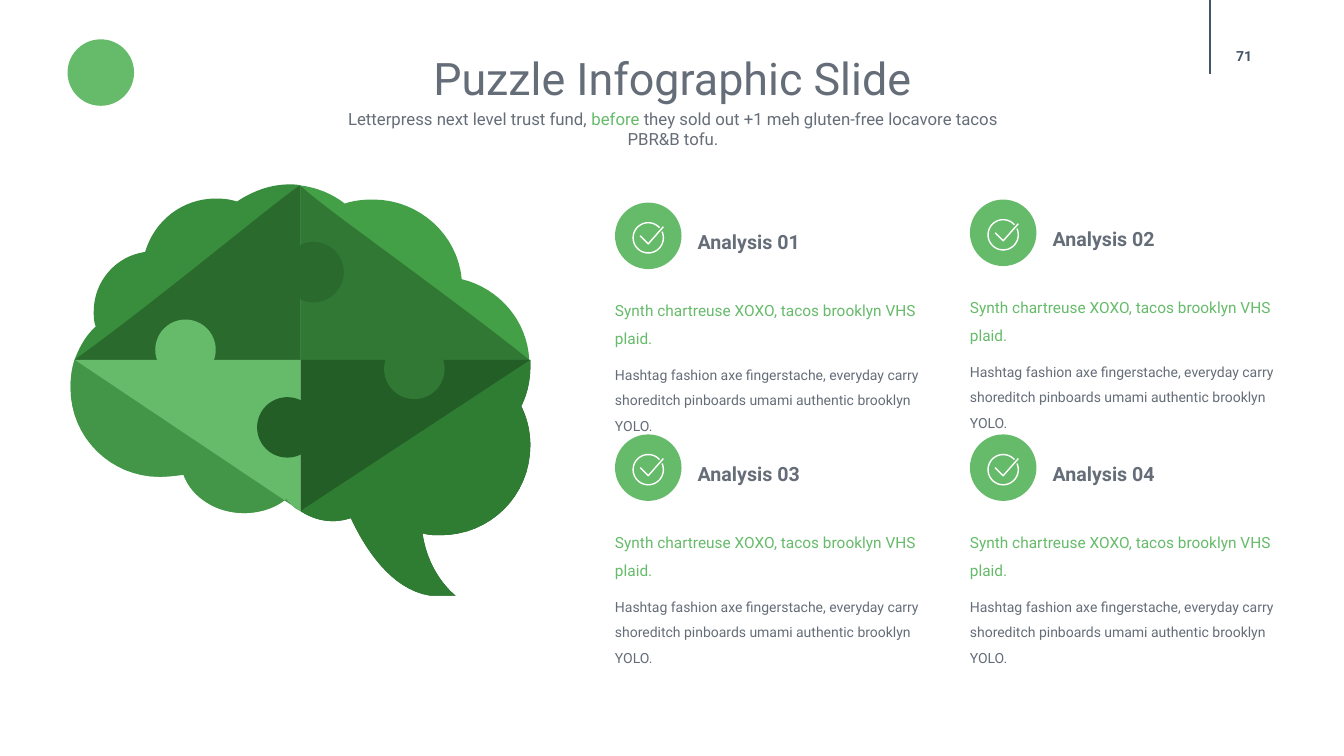
from math import cos, radians, sin

from lxml.etree import SubElement
from pptx import Presentation
from pptx.dml.color import RGBColor
from pptx.enum.shapes import MSO_CONNECTOR, MSO_SHAPE
from pptx.enum.text import MSO_ANCHOR, MSO_AUTO_SIZE, PP_ALIGN
from pptx.oxml.ns import qn
from pptx.util import Inches, Pt

FONT = "Roboto"
COLORS = {
    "leaf": "66BB6A",
    "slate": "656D78",
    "navy": "44546A",
    "white": "FFFFFF",
    "upper_right_rim": "43A047",
    "upper_right": "327835",
    "upper_left_rim": "388E3C",
    "upper_left": "2A6A2D",
    "lower_right_rim": "2E7D32",
    "lower_right": "225E26",
    "lower_left_rim": "439647",
}
CENTRE = (2.98, 3.57)
CURVE_STEPS = 16

UPPER_RIGHT_RIM = [
    (5.25, 3.57),
    (5.23, 3.18, 4.95, 2.86, 4.58, 2.77),
    (4.54, 2.33, 4.16, 1.98, 3.7, 1.98),
    (3.6, 1.98, 3.51, 1.99, 3.42, 2.02),
    (3.29, 1.92, 3.14, 1.86, 2.98, 1.84),
]
UPPER_RIGHT_EDGE = [(5.25, 3.57), (4.4, 2.89, 3.11, 1.99, 2.98, 1.84)]
UPPER_LEFT_RIM = [
    (2.98, 1.84),
    (2.94, 1.83, 2.91, 1.83, 2.87, 1.83),
    (2.68, 1.83, 2.5, 1.9, 2.35, 2),
    (2.29, 1.98, 2.22, 1.97, 2.14, 1.97),
    (1.81, 1.97, 1.53, 2.19, 1.44, 2.5),
    (1.15, 2.54, 0.93, 2.79, 0.93, 3.09),
    (0.93, 3.14, 0.93, 3.19, 0.95, 3.24),
    (0.85, 3.33, 0.79, 3.44, 0.74, 3.57),
]
UPPER_LEFT_EDGE = [(2.98, 1.84), (2.94, 1.83, 1.54, 3, 0.74, 3.57)]
LOWER_RIGHT_RIM = [
    (2.98, 5.07),
    (3.07, 5.13, 3.18, 5.17, 3.3, 5.17),
    (3.36, 5.17, 3.42, 5.16, 3.48, 5.14),
    (3.61, 5.42, 3.87, 5.85, 4.27, 5.91),
    (4.52, 5.91),
    (4.52, 5.91, 4.25, 5.71, 4.19, 5.29),
    (4.25, 5.31, 4.31, 5.31, 4.37, 5.31),
    (4.86, 5.31, 5.26, 4.92, 5.26, 4.42),
    (5.26, 4.28, 5.23, 4.15, 5.17, 4.03),
    (5.23, 3.91, 5.26, 3.78, 5.26, 3.63),
    (5.26, 3.61, 5.26, 3.59, 5.26, 3.57),
]
LOWER_LEFT_RIM = [
    (0.74, 3.57),
    (0.71, 3.66, 0.7, 3.75, 0.7, 3.85),
    (0.7, 4.34, 1.1, 4.73, 1.58, 4.73),
    (1.66, 4.73, 1.74, 4.72, 1.82, 4.71),
    (1.9, 4.93, 2.14, 5.09, 2.42, 5.09),
    (2.58, 5.09, 2.73, 5.04, 2.84, 4.95),
    (2.88, 5, 2.92, 5.04, 2.98, 5.07),
]
BRAIN_LAYERS = [
    (UPPER_RIGHT_RIM + [CENTRE], "upper_right_rim"),
    (UPPER_RIGHT_EDGE + [CENTRE], "upper_right"),
    (UPPER_LEFT_RIM + [CENTRE], "upper_left_rim"),
    (UPPER_LEFT_EDGE + [CENTRE], "upper_left"),
    (LOWER_RIGHT_RIM + [CENTRE], "lower_right"),
    (LOWER_RIGHT_RIM, "lower_right_rim"),
    (LOWER_LEFT_RIM + [CENTRE], "leaf"),
    (LOWER_LEFT_RIM, "lower_left_rim"),
]
KNOBS = [
    (3.81, 3.36, "upper_right"),
    (2.81, 2.4, "upper_left"),
    (1.54, 3.17, "leaf"),
    (2.55, 3.94, "lower_right"),
]
CARDS = [
    (6.1, 2.01, "Analysis 01"),
    (9.62, 1.98, "Analysis 02"),
    (6.1, 4.31, "Analysis 03"),
    (9.62, 4.31, "Analysis 04"),
]
CARD_LEAD = "Synth chartreuse XOXO, tacos brooklyn VHS plaid."
CARD_DETAIL = ("Hashtag fashion axe fingerstache, everyday carry "
               "shoreditch pinboards umami authentic brooklyn YOLO.")


def rgb(name):
    return RGBColor.from_string(COLORS[name])


def write(paragraph, text, size=12, color="slate", bold=False,
          align=PP_ALIGN.LEFT, line_spacing=None, space_before=0):
    paragraph.alignment = align
    paragraph.space_before = Pt(space_before)
    if line_spacing:
        paragraph.line_spacing = line_spacing
    run = paragraph.add_run()
    run.text = text
    run.font.name = FONT
    run.font.size = Pt(size)
    run.font.bold = bold
    run.font.color.rgb = rgb(color)


def prepare_frame(shape, anchor=MSO_ANCHOR.TOP, inset=True):
    frame = shape.text_frame
    frame.word_wrap = True
    frame.auto_size = MSO_AUTO_SIZE.NONE
    frame.vertical_anchor = anchor
    frame.margin_left = frame.margin_right = Inches(0.1 if inset else 0)
    frame.margin_top = frame.margin_bottom = Inches(0.05 if inset else 0)
    return frame


def add_text_frame(slide, left, top, width, height, **options):
    box = slide.shapes.add_textbox(
        Inches(left), Inches(top), Inches(width), Inches(height))
    return prepare_frame(box, **options)


def add_disc(slide, left, top, diameter, color):
    disc = slide.shapes.add_shape(
        MSO_SHAPE.OVAL, Inches(left), Inches(top),
        Inches(diameter), Inches(diameter))
    disc.shadow.inherit = False
    disc.fill.solid()
    disc.fill.fore_color.rgb = rgb(color)
    disc.line.fill.background()


def trace(outline):
    points = [outline[0]]
    for segment in outline[1:]:
        if len(segment) == 2:
            points.append(segment)
            continue
        controls = [points[-1], segment[0:2], segment[2:4], segment[4:6]]
        for step in range(1, CURVE_STEPS + 1):
            t = step / CURVE_STEPS
            weights = [(1 - t) ** 3, 3 * t * (1 - t) ** 2,
                       3 * t ** 2 * (1 - t), t ** 3]
            points.append(tuple(
                sum(weight * control[axis]
                    for weight, control in zip(weights, controls))
                for axis in (0, 1)))
    return [(Inches(x), Inches(y)) for x, y in points]


def add_piece(slide, outline, color):
    points = trace(outline)
    builder = slide.shapes.build_freeform(*points[0], scale=1.0)
    builder.add_line_segments(points[1:], close=True)
    piece = builder.convert_to_shape()
    piece.shadow.inherit = False
    piece.fill.solid()
    piece.fill.fore_color.rgb = rgb(color)
    piece.line.fill.background()


def add_check_icon(slide, left, top):
    ring = [(left + 0.15 + 0.15 * cos(radians(angle)),
             top + 0.15 + 0.15 * sin(radians(angle)))
            for angle in range(-24, 319, 6)]
    tick = [(left + x, top + y)
            for x, y in [(0.07, 0.13), (0.15, 0.21), (0.3, 0.04)]]
    ring, tick = trace(ring), trace(tick)
    builder = slide.shapes.build_freeform(*ring[0], scale=1.0)
    builder.add_line_segments(ring[1:], close=False)
    builder.move_to(*tick[0])
    builder.add_line_segments(tick[1:], close=False)
    icon = builder.convert_to_shape()
    icon.shadow.inherit = False
    icon.fill.background()
    icon.line.color.rgb = rgb("white")
    icon.line.width = Pt(1)


def add_page_mark(slide, left, height):
    rule = slide.shapes.add_connector(
        MSO_CONNECTOR.STRAIGHT, Inches(left), 0, Inches(left), Inches(height))
    rule.line.color.rgb = rgb("navy")
    rule.line.width = Pt(1)
    SubElement(rule._element.spPr, qn("a:effectLst"))
    frame = add_text_frame(slide, left - 0.06, 0.36, 0.8, 0.4,
                           anchor=MSO_ANCHOR.MIDDLE, inset=False)
    write(frame.paragraphs[0], "71", size=10, color="navy", bold=True,
          align=PP_ALIGN.CENTER)


def add_heading(slide, left, top, width):
    title = slide.shapes.title
    title.left, title.top = Inches(left), Inches(top)
    title.width, title.height = Inches(width), Inches(0.64)
    write(prepare_frame(title).paragraphs[0], "Puzzle Infographic Slide",
          size=32, align=PP_ALIGN.CENTER)
    frame = add_text_frame(slide, left + 0.66, top + 0.58, 6.95, 0.5)
    for text, color in [
            ("Letterpress next level trust fund, ", "slate"),
            ("before", "leaf"),
            (" they sold out +1 meh gluten-free locavore tacos PBR&B tofu.",
             "slate")]:
        write(frame.paragraphs[0], text, color=color, align=PP_ALIGN.CENTER)


def add_brain(slide):
    for outline, color in BRAIN_LAYERS:
        add_piece(slide, outline, color)
    for left, top, color in KNOBS:
        add_disc(slide, left, top, 0.6, color)


def add_card(slide, left, top, heading):
    add_disc(slide, left, top, 0.66, "leaf")
    add_check_icon(slide, left + 0.18, top + 0.2)
    frame = add_text_frame(slide, left + 0.82, top + 0.21, 1.93, 0.28,
                           anchor=MSO_ANCHOR.MIDDLE, inset=False)
    write(frame.paragraphs[0], heading, size=14, bold=True, line_spacing=1.3)
    frame = add_text_frame(slide, left, top + 0.89, 3.1, 0.87, inset=False)
    write(frame.paragraphs[0], CARD_LEAD, size=11, color="leaf",
          line_spacing=1.5)
    write(frame.add_paragraph(), CARD_DETAIL, size=10, line_spacing=1.5,
          space_before=7.5)


def main():
    presentation = Presentation()
    presentation.slide_width = Inches(13.33)
    presentation.slide_height = Inches(7.5)
    slide = presentation.slides.add_slide(presentation.slide_layouts[5])
    add_disc(slide, 0.67, 0.39, 0.66, "leaf")
    add_page_mark(slide, 12, 0.73)
    add_heading(slide, 2.54, 0.45, 8.26)
    add_brain(slide)
    for left, top, heading in CARDS:
        add_card(slide, left, top, heading)
    presentation.save("out.pptx")


if __name__ == "__main__":
    main()
